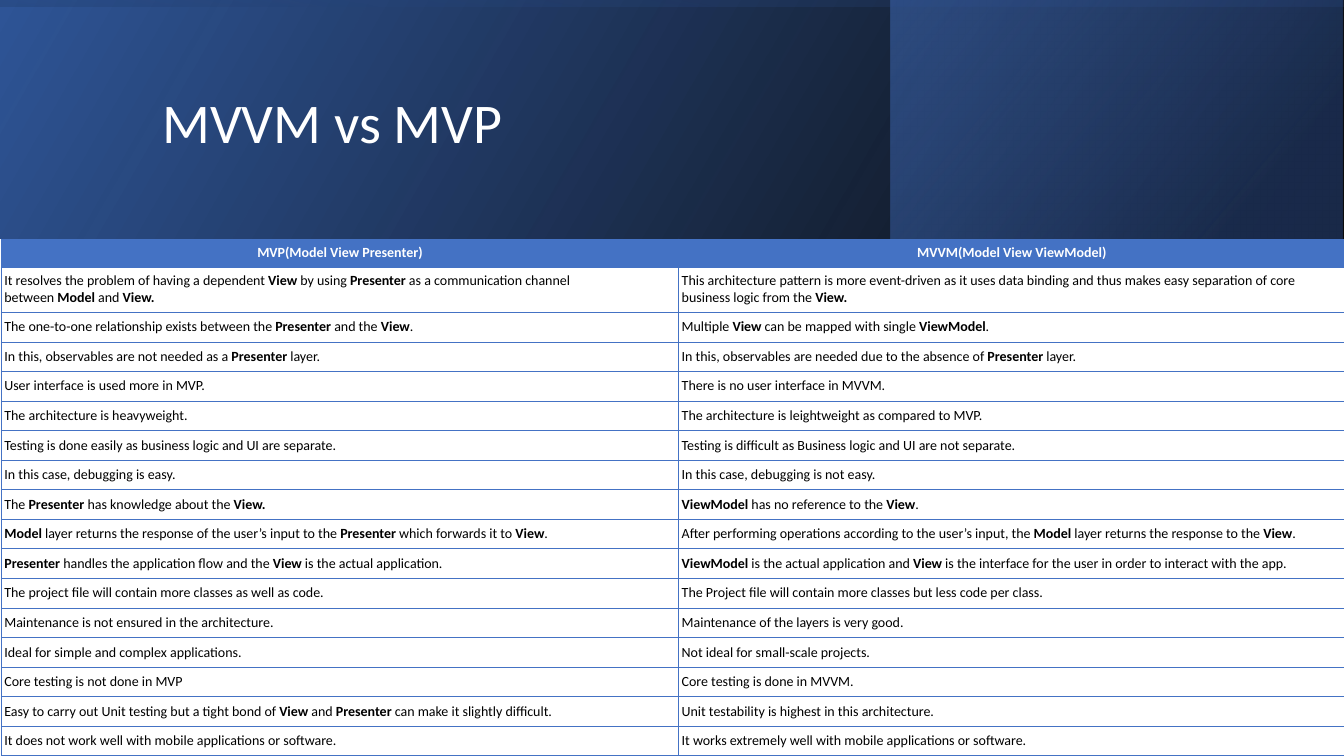
from lxml import etree
from pptx import Presentation
from pptx.dml.color import RGBColor
from pptx.enum.shapes import MSO_SHAPE
from pptx.enum.text import MSO_ANCHOR as ANCHOR, PP_ALIGN as ALIGN
from pptx.oxml import parse_xml
from pptx.oxml.ns import nsdecls, qn
from pptx.util import Cm, Pt

# Content: *bold*, ~ is a non-breaking space
TITLE = "MVVM vs MVP"
HEADER = ("MVP(Model View Presenter)", "MVVM(Model View ViewModel)")
ROWS = [
    ("It resolves the problem of having a dependent~*View~*by using~*Presenter*"
     "~as a communication channel between~*Model*~and~*View.~*",
     "This architecture pattern is more event-driven as it uses data binding and "
     "thus makes easy separation of core business logic from the~*View.*"),
    ("The one-to-one relationship exists between the~*Presenter~*and the~*View*.",
     "Multiple~*View*~can be mapped with single~*ViewModel*."),
    ("In this, observables are not needed as a~*Presenter*~layer.",
     "In this, observables are needed due to the absence of~*Presenter*~layer."),
    ("User interface is used more in MVP.",
     "There is no user interface in MVVM."),
    ("The architecture is heavyweight.",
     "The architecture is leightweight as compared to MVP."),
    ("Testing is done easily as business logic and UI are separate.",
     "Testing is difficult as Business logic and UI are not separate."),
    ("In this case, debugging is easy.",
     "In this case, debugging is not easy."),
    ("The~*Presenter~*has knowledge about the~*View.*",
     "*ViewModel~*has no reference to the~*View*."),
    ("*Model~*layer returns the response of the user’s input to the~*Presenter*"
     "~which forwards it to~*View*.",
     "After performing operations according to the user’s input, the~*Model~*"
     "layer returns the response to the~*View*."),
    ("*Presenter~*handles the application flow and the~*View~*is the actual application.",
     "*ViewModel~*is the actual application and~*View~*is the interface for the "
     "user in order to interact with the app."),
    ("The project file will contain more classes as well as code.",
     "The Project file will contain more classes but less code per class."),
    ("Maintenance is not ensured in the architecture.",
     "Maintenance of the layers is very good."),
    ("Ideal for simple and complex applications.",
     "Not ideal for small-scale projects."),
    ("Core testing is not done in MVP",
     "Core testing is done in MVVM."),
    ("Easy to carry out Unit testing but a tight bond of~*View*~and~*Presenter~*"
     "can make it slightly difficult.",
     "Unit testability is highest in this architecture."),
    ("It does not work well with mobile applications or software.",
     "It works extremely well with mobile applications or software."),
]

# Colours
WHITE = RGBColor(0xFF, 0xFF, 0xFF)
BLACK = RGBColor(0x00, 0x00, 0x00)
BLUE = RGBColor(0x44, 0x72, 0xC4)
DEEP = RGBColor(0x2F, 0x55, 0x97)
NAVY = RGBColor(0x20, 0x38, 0x64)

# Sizes in cm
SLIDE_W, SLIDE_H = 33.87, 19.05
BANNER_H = 6.02
PANEL_X, PANEL_W = 22.45, 11.38
COLS = (17.07, 16.79)
HEADER_H, FIRST_H = 0.71, 1.14
ROW_H = (SLIDE_H - BANNER_H - HEADER_H - FIRST_H) / (len(ROWS) - 1)

# Banner layers: box, rotation, gradient angle, stops (position, colour, opacity)
LAYERS = [
    ((0, 0, SLIDE_W, BANNER_H), 0, 330, [(0, BLACK, 96), (100, DEEP, 100)]),
    ((PANEL_X, 0, PANEL_W, BANNER_H), 0, 320, [(19, NAVY, 68), (100, BLUE, 48)]),
    (((SLIDE_W - BANNER_H) / 2, (BANNER_H - SLIDE_W) / 2, BANNER_H, SLIDE_W),
     270, 350, [(23, DEEP, 16), (99, BLACK, 45)]),
]


def write(tf, text, size=10, color=BLACK, bold=False, align=ALIGN.LEFT, spacing=None):
    p = tf.paragraphs[0]
    p.alignment = align
    p.line_spacing = spacing
    for i, part in enumerate(text.replace("~", chr(160)).split("*")):
        if part:
            r = p.add_run()
            r.text = part
            r.font.name = "Calibri"
            r.font.size = Pt(size)
            r.font.bold = bold or i % 2 == 1
            r.font.color.rgb = color


def add_layer(s, box, rotation, angle, stops):
    sp = s.shapes.add_shape(MSO_SHAPE.RECTANGLE, *map(Cm, box))
    sp.rotation = rotation
    sp.shadow.inherit = False
    sp.line.fill.background()
    props = sp.element.spPr
    props.find(qn("a:xfrm")).set("flipH", "1")
    gs = "".join(
        f'<a:gs pos="{pos * 1000}"><a:srgbClr val="{color}">'
        f'<a:alpha val="{alpha * 1000}"/></a:srgbClr></a:gs>'
        for pos, color, alpha in stops)
    props.find(qn("a:prstGeom")).addnext(parse_xml(
        f'<a:gradFill {nsdecls("a")}><a:gsLst>{gs}</a:gsLst>'
        f'<a:lin ang="{angle * 60000}" scaled="0"/></a:gradFill>'))


def add_borders(cell):
    props = cell._tc.get_or_add_tcPr()
    for i, side in enumerate(("lnL", "lnR", "lnT", "lnB")):
        ln = etree.Element(qn(f"a:{side}"), w=str(Pt(0.5)))
        fill = etree.SubElement(ln, qn("a:solidFill"))
        etree.SubElement(fill, qn("a:srgbClr"), val=str(BLUE))
        props.insert(i, ln)


def main():
    prs = Presentation()
    prs.slide_width, prs.slide_height = Cm(SLIDE_W), Cm(SLIDE_H)
    s = prs.slides.add_slide(prs.slide_layouts[6])

    # Banner
    for layer in LAYERS:
        add_layer(s, *layer)

    # Title
    tf = s.shapes.add_textbox(Cm(3.84), Cm(0.97), Cm(27), Cm(4.37)).text_frame
    tf.word_wrap = True
    tf.vertical_anchor = ANCHOR.MIDDLE
    write(tf, TITLE, size=40, color=WHITE, spacing=0.9)

    # Comparison table
    table = s.shapes.add_table(len(ROWS) + 1, len(COLS), Cm(0.03), Cm(BANNER_H),
                               Cm(sum(COLS)), Cm(SLIDE_H - BANNER_H)).table
    table.first_row = table.horz_banding = False
    for column, width in zip(table.columns, COLS):
        column.width = Cm(width)
    heights = [HEADER_H, FIRST_H] + [ROW_H] * (len(ROWS) - 1)
    for i, texts in enumerate([HEADER] + ROWS):
        table.rows[i].height = Cm(heights[i])
        for j, text in enumerate(texts):
            cell = table.cell(i, j)
            cell.vertical_anchor = ANCHOR.MIDDLE
            cell.margin_left = cell.margin_right = Cm(0.08)
            cell.margin_top = cell.margin_bottom = Cm(0.1 if i else 0.07)
            if i:
                cell.fill.background()
                write(cell.text_frame, text)
            else:
                cell.fill.solid()
                cell.fill.fore_color.rgb = BLUE
                write(cell.text_frame, text, color=WHITE, bold=True, align=ALIGN.CENTER)
            add_borders(cell)

    prs.save("out.pptx")


if __name__ == "__main__":
    main()
